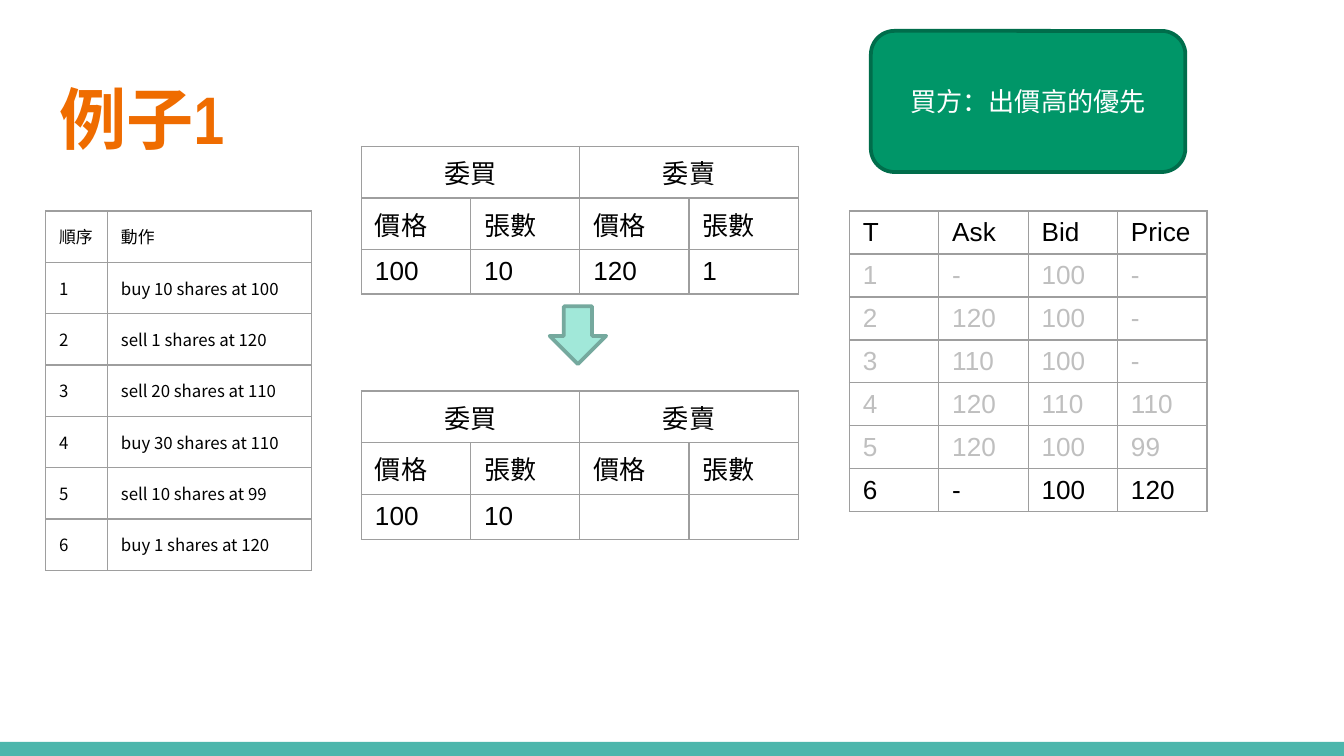
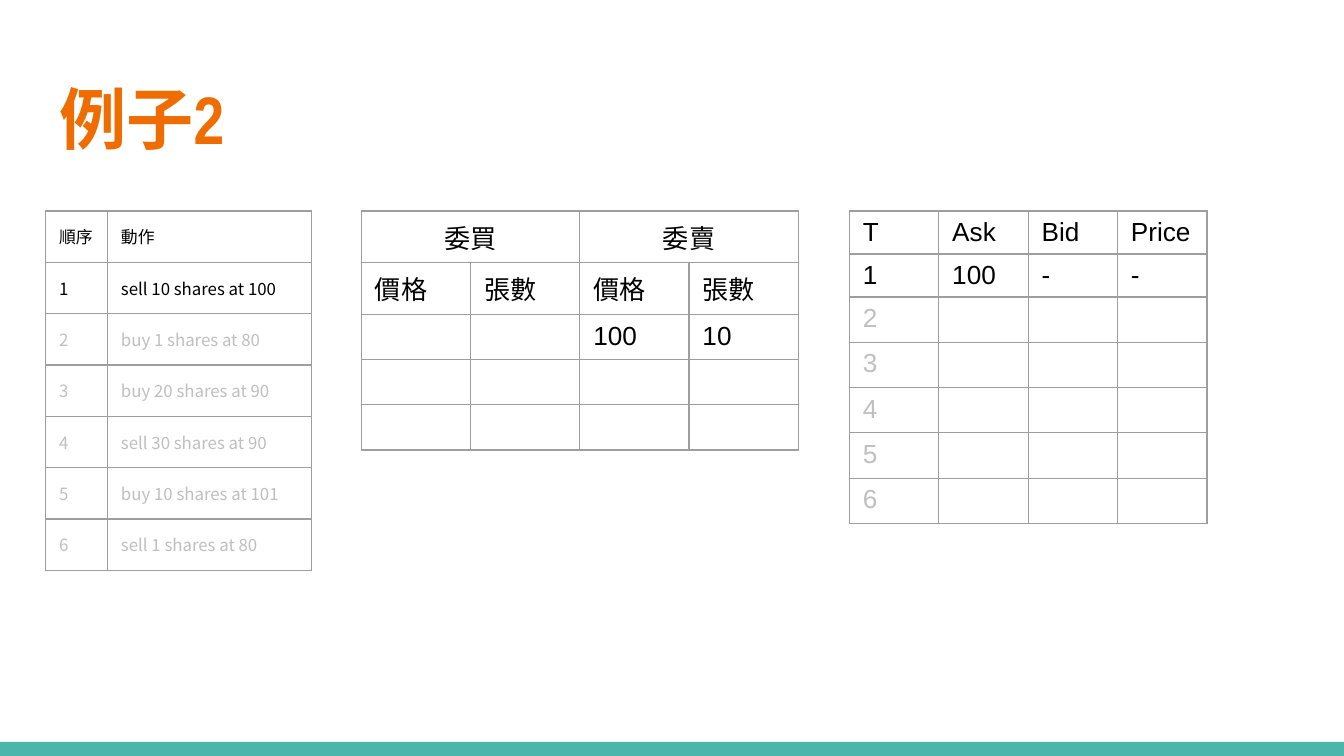
from dataclasses import dataclass

from lxml.etree import SubElement
from pptx import Presentation
from pptx.dml.color import RGBColor
from pptx.enum.shapes import MSO_SHAPE as Shape
from pptx.enum.text import MSO_ANCHOR as Anchor, MSO_AUTO_SIZE as AutoSize, PP_ALIGN as Align
from pptx.oxml.ns import qn
from pptx.util import Inches, Pt

ORANGE = RGBColor(0xEF, 0x6C, 0x00)
TEAL = RGBColor(0x4D, 0xB6, 0xAC)
GREEN = RGBColor(0x00, 0x96, 0x68)
DARK_GREEN = RGBColor(0x00, 0x6D, 0x4B)
MINT = RGBColor(0xA1, 0xE8, 0xD9)
DARK_MINT = RGBColor(0x75, 0xA9, 0x9E)
BLACK = RGBColor(0x00, 0x00, 0x00)
WHITE = RGBColor(0xFF, 0xFF, 0xFF)
PALE = RGBColor(0xBF, 0xBF, 0xBF)
BORDER = RGBColor(0x9E, 0x9E, 0x9E)

CJK = "Noto Sans CJK TC"
LATIN = "Arial"
TITLE_FONT = "Arial Narrow"


@dataclass(frozen=True)
class TableStyle:
    left: float
    col_widths: tuple[float, ...]
    row_height: float
    size: float
    font: str
    anchor: Anchor
    inset_y: float = 0.05


STEPS = TableStyle(0.34, (0.46, 1.52), 0.38, 9, CJK, Anchor.MIDDLE, 0.1)
BOOK = TableStyle(2.69, (3.25 / 4,) * 4, 0.33, 14, LATIN, Anchor.MIDDLE)
QUOTES = TableStyle(6.32, (2.66 / 4,) * 4, 0.32, 14, LATIN, Anchor.TOP)

TABLE_TOP = 1.57
BOOK_HEAD = [["委買", "", "委賣", ""], ["價格", "張數"] * 2]
STEPS_HEAD = [["順序", "動作"]]
QUOTES_HEAD = [["T", "Ask", "Bid", "Price"]]


@dataclass(frozen=True)
class Book:
    top: float
    orders: list[list[str]]


@dataclass(frozen=True)
class Example:
    title: str
    actions: list[str]
    books: list[Book]
    quotes: list[list[str]]
    pale_steps: range
    pale_quotes: range


EXAMPLES = [
    Example(
        "例子1",
        ["buy 10 shares at 100", "sell 1 shares at 120", "sell 20 shares at 110",
         "buy 30 shares at 110", "sell 10 shares at 99", "buy 1 shares at 120"],
        [Book(1.09, [["100", "10", "120", "1"]]), Book(2.91, [["100", "10", "", ""]])],
        [["-", "100", "-"], ["120", "100", "-"], ["110", "100", "-"],
         ["120", "110", "110"], ["120", "100", "99"], ["-", "100", "120"]],
        pale_steps=range(0), pale_quotes=range(1, 6),
    ),
    Example(
        "例子2",
        ["sell 10 shares at 100", "buy 1 shares at 80", "buy 20 shares at 90",
         "sell 30 shares at 90", "buy 10 shares at 101", "sell 1 shares at 80"],
        [Book(TABLE_TOP, [["", "", "100", "10"]] + [[""] * 4] * 2)],
        [["100", "-", "-"]] + [[""] * 3] * 5,
        pale_steps=range(2, 7), pale_quotes=range(2, 7),
    ),
]


def add_run(p, text: str, size: float, font: str, color: RGBColor, bold: bool = False) -> None:
    r = p.add_run()
    r.text = text
    r.font.size = Pt(size)
    r.font.name = font
    r.font.bold = bold
    r.font.color.rgb = color
    SubElement(r.font._element, qn("a:ea"), typeface=CJK)


def set_insets(box, x: float, y: float) -> None:
    """Set the margins of a text frame or a table cell."""
    box.margin_left = box.margin_right = Inches(x)
    box.margin_top = box.margin_bottom = Inches(y)


def set_borders(cell) -> None:
    tc_pr = cell._tc.get_or_add_tcPr()
    for side in ("a:lnL", "a:lnR", "a:lnT", "a:lnB"):
        ln = SubElement(tc_pr, qn(side), w=str(Pt(0.75)))
        fill = SubElement(ln, qn("a:solidFill"))
        SubElement(fill, qn("a:srgbClr"), val=str(BORDER))


def add_grid(s, style: TableStyle, top: float, rows: list[list[str]], pale: range = range(0)):
    """Draw a bordered table, with the rows in pale greyed out."""
    widths = style.col_widths
    frame = s.shapes.add_table(
        len(rows), len(widths), Inches(style.left), Inches(top),
        Inches(sum(widths)), Inches(style.row_height * len(rows)))
    table = frame.table
    table.first_row = table.horz_banding = False
    for column, width in zip(table.columns, widths):
        column.width = Inches(width)
    for i, row in enumerate(rows):
        table.rows[i].height = Inches(style.row_height)
        for j, text in enumerate(row):
            cell = table.cell(i, j)
            set_borders(cell)
            cell.fill.background()
            cell.vertical_anchor = style.anchor
            set_insets(cell, 0.1, style.inset_y)
            p = cell.text_frame.paragraphs[0]
            if text:
                add_run(p, text, style.size, style.font, PALE if i in pale else BLACK)
            else:
                SubElement(p._p, qn("a:endParaRPr"), sz=str(int(style.size * 100)))
    return table


def add_book(s, book: Book) -> None:
    table = add_grid(s, BOOK, book.top, BOOK_HEAD + book.orders)
    for j in (0, 2):
        cell = table.cell(0, j)
        cell.merge(table.cell(0, j + 1))
        cell.text_frame.paragraphs[0].alignment = Align.CENTER


def add_block(s, kind: Shape, left: float, top: float, width: float, height: float,
              fill: RGBColor, line: RGBColor | None = None):
    sp = s.shapes.add_shape(kind, Inches(left), Inches(top), Inches(width), Inches(height))
    sp.shadow.inherit = False
    sp.fill.solid()
    sp.fill.fore_color.rgb = fill
    if line is None:
        sp.line.fill.background()
    else:
        sp.line.color.rgb = line
        sp.line.width = Pt(2)
    return sp


def add_title(s, text: str) -> None:
    sp = s.shapes.title
    sp.left, sp.top = Inches(0.34), Inches(0.49)
    sp.width, sp.height = Inches(9.32), Inches(0.77)
    tf = sp.text_frame
    tf.auto_size = AutoSize.NONE
    tf.vertical_anchor = Anchor.MIDDLE
    set_insets(tf, 0.1, 0.1)
    p = tf.paragraphs[0]
    p.alignment = Align.LEFT
    add_run(p, text, 36, TITLE_FONT, ORANGE, bold=True)


def add_rule_note(s, text: str) -> None:
    """Draw the green box that states the matching rule."""
    sp = add_block(s, Shape.ROUNDED_RECTANGLE, 6.48, 0.23, 2.34, 1.05, GREEN, DARK_GREEN)
    tf = sp.text_frame
    tf.word_wrap = True
    tf.vertical_anchor = Anchor.MIDDLE
    set_insets(tf, 0.1, 0.05)
    p = tf.paragraphs[0]
    p.alignment = Align.CENTER
    add_run(p, text, 14, CJK, WHITE)


def add_example(prs, example: Example):
    s = prs.slides.add_slide(prs.slide_layouts[5])
    add_block(s, Shape.RECTANGLE, 0, 5.52, 10, 0.11, TEAL)
    add_title(s, example.title)
    steps = [[str(n), action] for n, action in enumerate(example.actions, 1)]
    add_grid(s, STEPS, TABLE_TOP, STEPS_HEAD + steps, example.pale_steps)
    for book in example.books:
        add_book(s, book)
    quotes = [[str(n), *quote] for n, quote in enumerate(example.quotes, 1)]
    add_grid(s, QUOTES, TABLE_TOP, QUOTES_HEAD + quotes, example.pale_quotes)
    return s


def main() -> None:
    prs = Presentation()
    prs.slide_width, prs.slide_height = Inches(10), Inches(5.625)
    first, _ = [add_example(prs, example) for example in EXAMPLES]
    add_block(first, Shape.DOWN_ARROW, 4.09, 2.28, 0.42, 0.43, MINT, DARK_MINT)
    add_rule_note(first, "買方：出價高的優先")
    prs.save("out.pptx")


if __name__ == "__main__":
    main()
